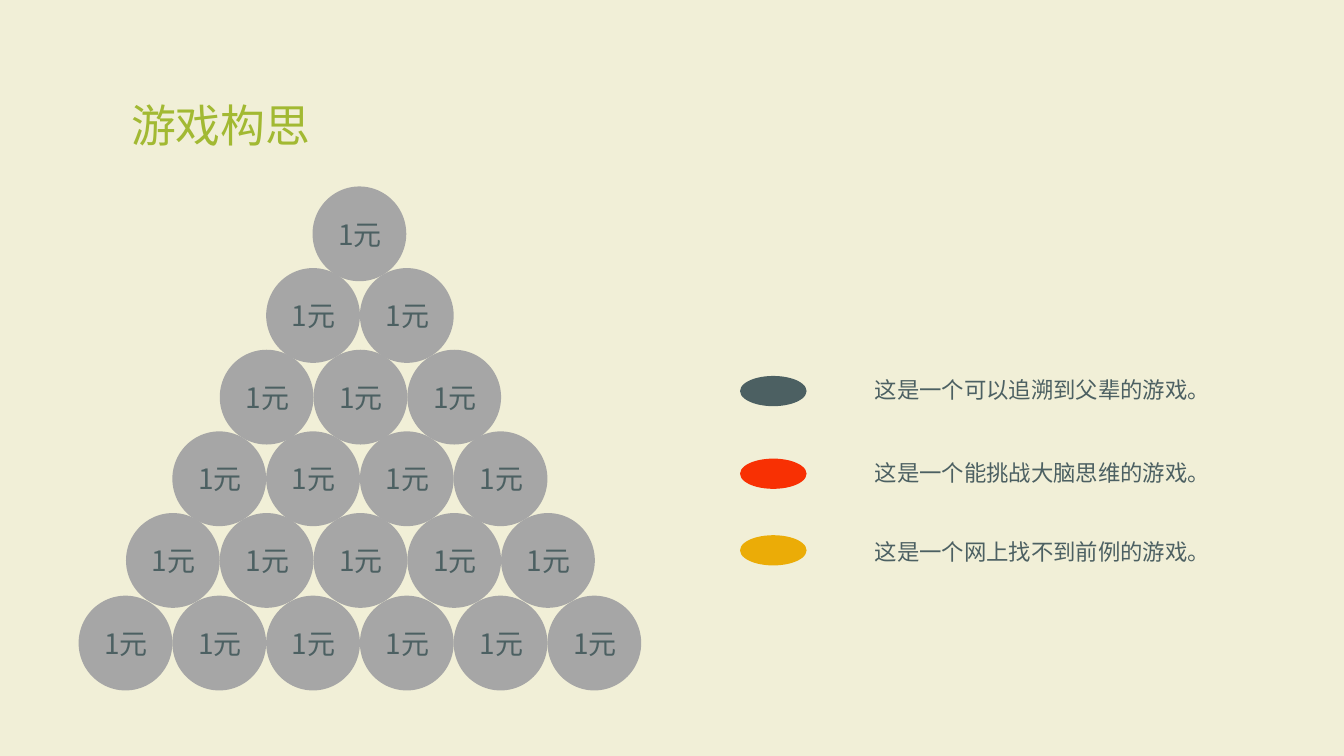
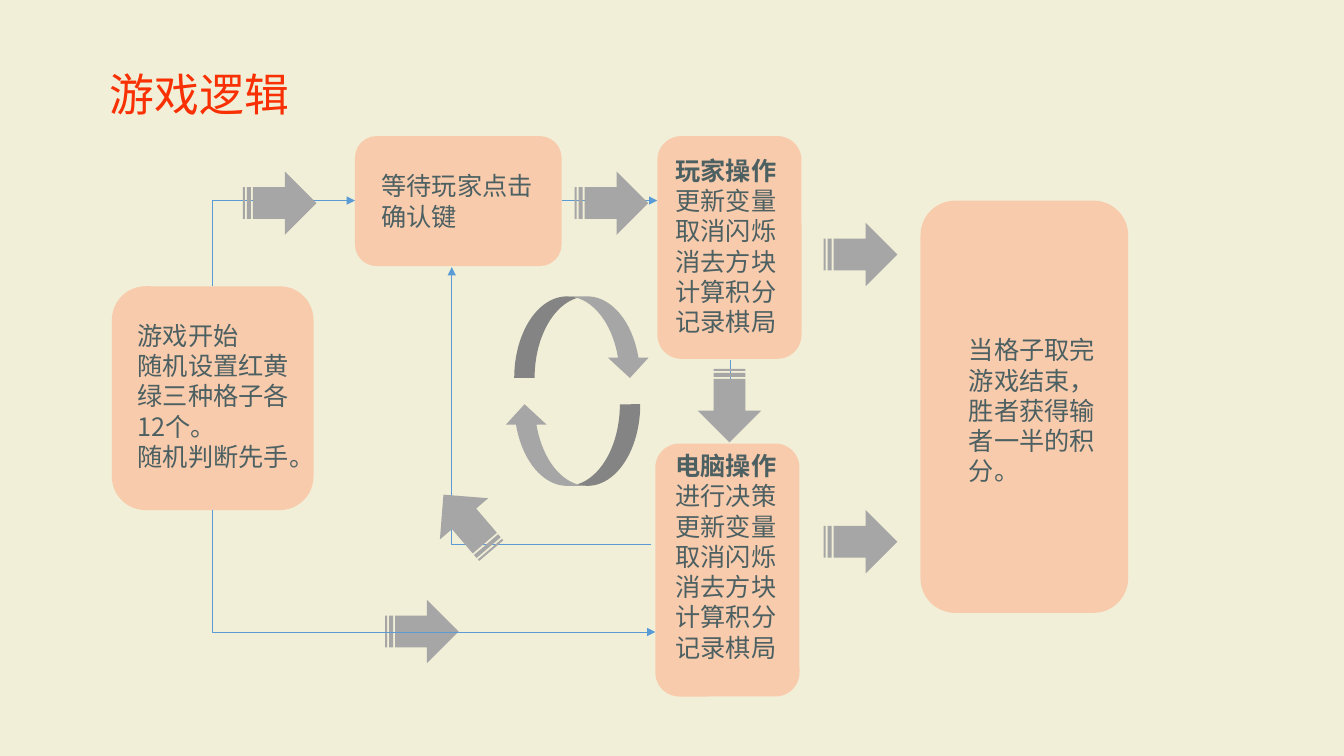
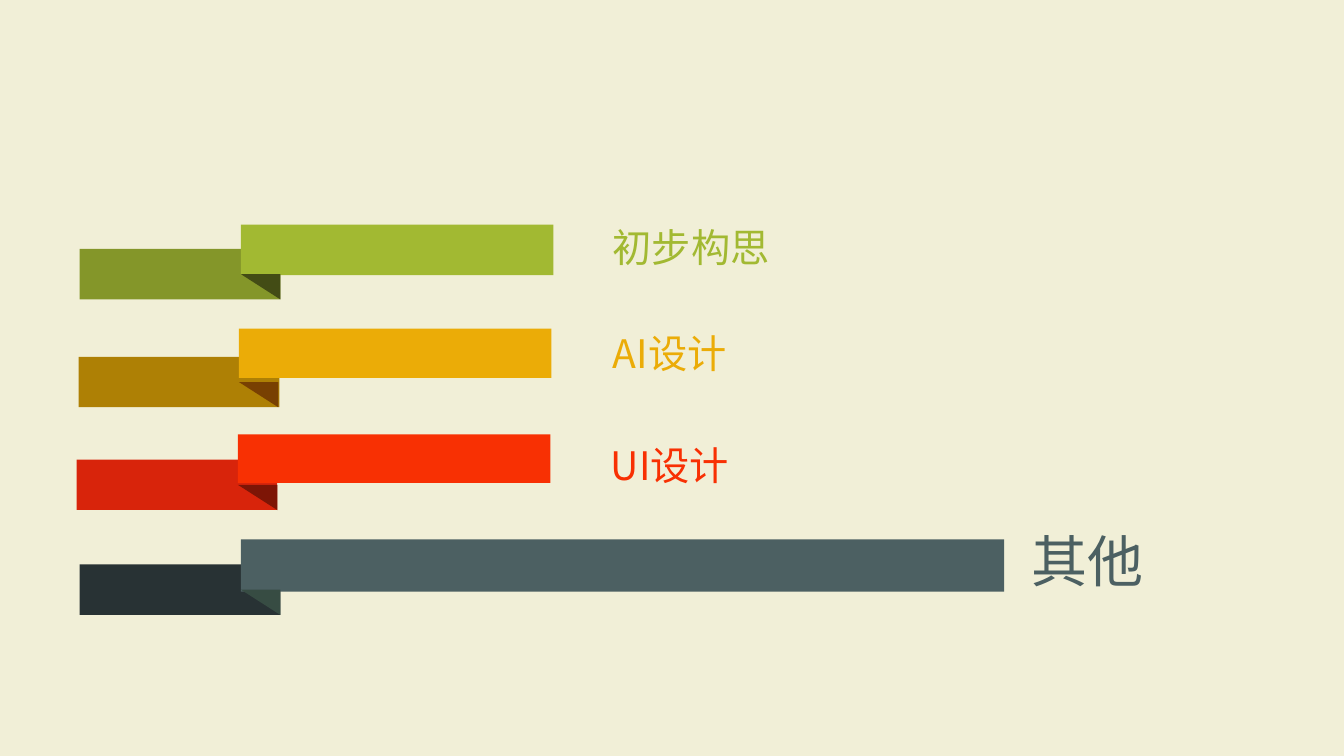
"""Build three slides about a coin game: idea, logic and section divider."""
from dataclasses import dataclass
from typing import Any

import lxml.etree
import pptx
import pptx.dml.color
import pptx.enum.shapes
import pptx.enum.text
import pptx.oxml.ns
import pptx.util

SCALE = 9144
SHAPE = pptx.enum.shapes.MSO_SHAPE
LINK = pptx.enum.shapes.MSO_CONNECTOR
ANCHOR = pptx.enum.text.MSO_ANCHOR
qn = pptx.oxml.ns.qn


@dataclass(frozen=True)
class Theme:
    font: str = "Noto Sans CJK SC"
    paper: str = "F1EFD7"
    ink: str = "4C6062"
    green: str = "A2B932"
    red: str = "F83003"
    gold: str = "EBAC07"
    gray: str = "A6A6A6"
    peach: str = "F8CBAD"
    blue: str = "5B9BD5"
    title: int = 32
    section: int = 40
    label: int = 28
    coin: int = 20
    card: int = 18
    note: int = 16
    line: float = 0.5


THEME = Theme()


@dataclass(frozen=True)
class Box:
    left: int
    top: int
    width: int
    height: int

    def emu(self) -> tuple[int, ...]:
        return tuple(side * SCALE for side in (self.left, self.top, self.width, self.height))


@dataclass(frozen=True)
class Point:
    top: int
    color: str
    text_top: int
    text: str


@dataclass(frozen=True)
class Card:
    box: Box
    pad_left: int
    pad_top: int
    lines: tuple[str, ...]
    headed: bool = False


@dataclass(frozen=True)
class Link:
    box: Box
    bent: bool = False
    turn: int = 0
    flips: tuple[str, ...] = ()


@dataclass(frozen=True)
class Arrow:
    left: int
    top: int
    turn: float = 0


@dataclass(frozen=True)
class Ribbon:
    tail: Box
    body: Box
    tail_color: str
    color: str
    fold_color: str


@dataclass(frozen=True)
class Label:
    box: Box
    text: str
    color: str


def rgb(color: str) -> pptx.dml.color.RGBColor:
    return pptx.dml.color.RGBColor.from_string(color)


def write(frame: Any, lines: tuple[str, ...], size: int, color: str, headed: bool = False) -> None:
    for index, line in enumerate(lines):
        para = frame.paragraphs[0] if index == 0 else frame.add_paragraph()
        para.alignment = pptx.enum.text.PP_ALIGN.LEFT
        run = para.add_run()
        run.text = line
        run.font.size = pptx.util.Pt(size)
        run.font.bold = headed and index == 0
        run.font.color.rgb = rgb(color)
        run.font.name = THEME.font
        lxml.etree.SubElement(run._r.get_or_add_rPr(), qn("a:ea"), typeface=THEME.font)


def pad(frame: Any, left: int, top: int, right: int, low: int) -> None:
    frame.margin_left = left * SCALE
    frame.margin_top = top * SCALE
    frame.margin_right = right * SCALE
    frame.margin_bottom = low * SCALE


def shape(slide: Any, kind: Any, box: Box, color: str, turn: float = 0) -> Any:
    item = slide.shapes.add_shape(kind, *box.emu())
    item.shadow.inherit = False
    item.fill.solid()
    item.fill.fore_color.rgb = rgb(color)
    item.line.fill.background()
    item.rotation = turn
    return item


def text(slide: Any, box: Box, line: str, size: int, color: str) -> None:
    frame = slide.shapes.add_textbox(*box.emu()).text_frame
    frame.word_wrap = True
    write(frame, (line,), size, color)


def title(deck: Any, box: Box, line: str, size: int, color: str) -> Any:
    slide = deck.slides.add_slide(deck.slide_layouts.get_by_name("Title Only"))
    head = slide.shapes.title
    head.left, head.top, head.width, head.height = box.emu()
    frame = head.text_frame
    frame.auto_size = pptx.enum.text.MSO_AUTO_SIZE.NONE
    frame.word_wrap = False
    frame.vertical_anchor = ANCHOR.TOP
    pad(frame, 10, 5, 10, 5)
    write(frame, (line,), size, color)
    return slide


def coin(slide: Any, box: Box) -> None:
    frame = shape(slide, SHAPE.OVAL, box, THEME.gray).text_frame
    frame.vertical_anchor = ANCHOR.MIDDLE
    frame.word_wrap = True
    pad(frame, 12, 0, 0, 0)
    write(frame, ("1元",), THEME.coin, THEME.ink)


def point(slide: Any, item: Point) -> None:
    shape(slide, SHAPE.OVAL, Box(734, item.top, 66, 30), item.color)
    text(slide, Box(858, item.text_top, 414, 37), item.text, THEME.note, THEME.ink)


def card(slide: Any, item: Card) -> None:
    frame = shape(slide, SHAPE.ROUNDED_RECTANGLE, item.box, THEME.peach).text_frame
    frame.vertical_anchor = ANCHOR.TOP
    frame.word_wrap = True
    pad(frame, item.pad_left, item.pad_top, 10, 0)
    write(frame, item.lines, THEME.card, THEME.ink, item.headed)


def link(slide: Any, item: Link) -> None:
    left, top, width, height = item.box.emu()
    kind = LINK.ELBOW if item.bent else LINK.STRAIGHT
    wire = slide.shapes.add_connector(kind, left, top, left + width, top + height)
    wire.line.color.rgb = rgb(THEME.blue)
    wire.line.width = pptx.util.Pt(THEME.line)
    props = wire._element.spPr
    lxml.etree.SubElement(props.find(qn("a:ln")), qn("a:tailEnd"), type="triangle")
    lxml.etree.SubElement(props, qn("a:effectLst"))
    if item.bent:
        props.find(qn("a:prstGeom")).set("prst", "bentConnector2")
        frame = props.find(qn("a:xfrm"))
        frame.set("rot", str(item.turn * 60000))
        for flip in item.flips:
            frame.set(flip, "1")


def arrow(slide: Any, item: Arrow) -> None:
    box = Box(item.left, item.top, 73, 63)
    shape(slide, SHAPE.STRIPED_RIGHT_ARROW, box, THEME.gray, item.turn)


def ribbon(slide: Any, item: Ribbon) -> None:
    shape(slide, SHAPE.RECTANGLE, item.tail, item.tail_color)
    shape(slide, SHAPE.RECTANGLE, item.body, item.color)
    box = Box(item.body.left, item.tail.top + 25, 39, 25)
    fold = shape(slide, SHAPE.ISOSCELES_TRIANGLE, box, item.fold_color, 180)
    fold.adjustments[0] = 0


POINTS = (
    Point(373, THEME.ink, 368, "这是一个可以追溯到父辈的游戏。"),
    Point(455, THEME.red, 451, "这是一个能挑战大脑思维的游戏。"),
    Point(531, THEME.gold, 529, "这是一个网上找不到前例的游戏。"),
)

MOVES = ("更新变量", "取消闪烁", "消去方块", "计算积分", "记录棋局")

CARDS = (
    Card(Box(111, 284, 200, 222), 16, 24,
         ("游戏开始", "随机设置红黄绿三种格子各12个。", "随机判断先手。")),
    Card(Box(352, 135, 205, 129), 20, 28, ("等待玩家点击", "确认键")),
    Card(Box(652, 135, 143, 221), 11, 12, ("玩家操作", *MOVES), True),
    Card(Box(650, 440, 143, 251), 13, 0, ("电脑操作", "进行决策", *MOVES), True),
    Card(Box(913, 199, 206, 409), 38, 123,
         ("当格子取完游戏结束，胜者获得输者一半的积分。",)),
)

LINKS = (
    Link(Box(239, 171, 85, 141), True, 90, ("flipH", "flipV")),
    Link(Box(557, 199, 95, 0)),
    Link(Box(724, 357, 0, 57)),
    Link(Box(448, 265, 198, 275), True, 180),
    Link(Box(370, 347, 121, 439), True, 270, ("flipH",)),
)

LOW_ARROW = Arrow(382, 595)

ARROWS = (
    Arrow(817, 221),
    Arrow(241, 170),
    Arrow(817, 506),
    Arrow(570, 170),
    Arrow(427, 487, 229.5),
    Arrow(687, 371, 90),
)

LOOPS = ((Box(510, 294, 135, 81), 0), (Box(500, 401, 135, 81), 180))

RIBBONS = (
    Ribbon(Box(76, 456, 199, 50), Box(236, 431, 310, 48), "D8240B", THEME.red, "7D1506"),
    Ribbon(Box(78, 354, 199, 50), Box(237, 326, 310, 49), "AE8005", THEME.gold, "784002"),
    Ribbon(Box(79, 247, 199, 50), Box(239, 223, 310, 50), "849629", THEME.green, "434C15"),
    Ribbon(Box(79, 560, 199, 50), Box(239, 535, 757, 52), "283234", THEME.ink, "374C43"),
)

LABELS = (
    Label(Box(598, 217, 191, 57), "初步构思", THEME.green),
    Label(Box(598, 322, 158, 57), "AI设计", THEME.gold),
    Label(Box(596, 433, 158, 57), "UI设计", THEME.red),
)


def idea(deck: Any) -> None:
    slide = title(deck, Box(120, 92, 200, 64), "游戏构思", THEME.title, THEME.green)
    for row in range(6):
        left = 310 - row * 232 // 5
        top = 185 + row * 406 // 5
        for col in range(row + 1):
            coin(slide, Box(left + col * 93, top, 93, 94))
    for item in POINTS:
        point(slide, item)


def logic(deck: Any) -> None:
    slide = title(deck, Box(99, 61, 200, 64), "游戏逻辑", THEME.title, THEME.red)
    for item in CARDS:
        card(slide, item)
    arrow(slide, LOW_ARROW)
    for item in LINKS:
        link(slide, item)
    for box, turn in LOOPS:
        shape(slide, SHAPE.CURVED_DOWN_ARROW, box, THEME.gray, turn)
    for item in ARROWS:
        arrow(slide, item)


def other(deck: Any) -> None:
    slide = title(deck, Box(1013, 517, 265, 77), "其他", THEME.section, THEME.ink)
    for item in RIBBONS:
        ribbon(slide, item)
    for item in LABELS:
        text(slide, item.box, item.text, THEME.label, item.color)


def main() -> None:
    deck = pptx.Presentation()
    deck.slide_width, deck.slide_height = 1333 * SCALE, 750 * SCALE
    paper = deck.slide_master.background.fill
    paper.solid()
    paper.fore_color.rgb = rgb(THEME.paper)
    for build in (idea, logic, other):
        build(deck)
    deck.save("out.pptx")


if __name__ == "__main__":
    main()
